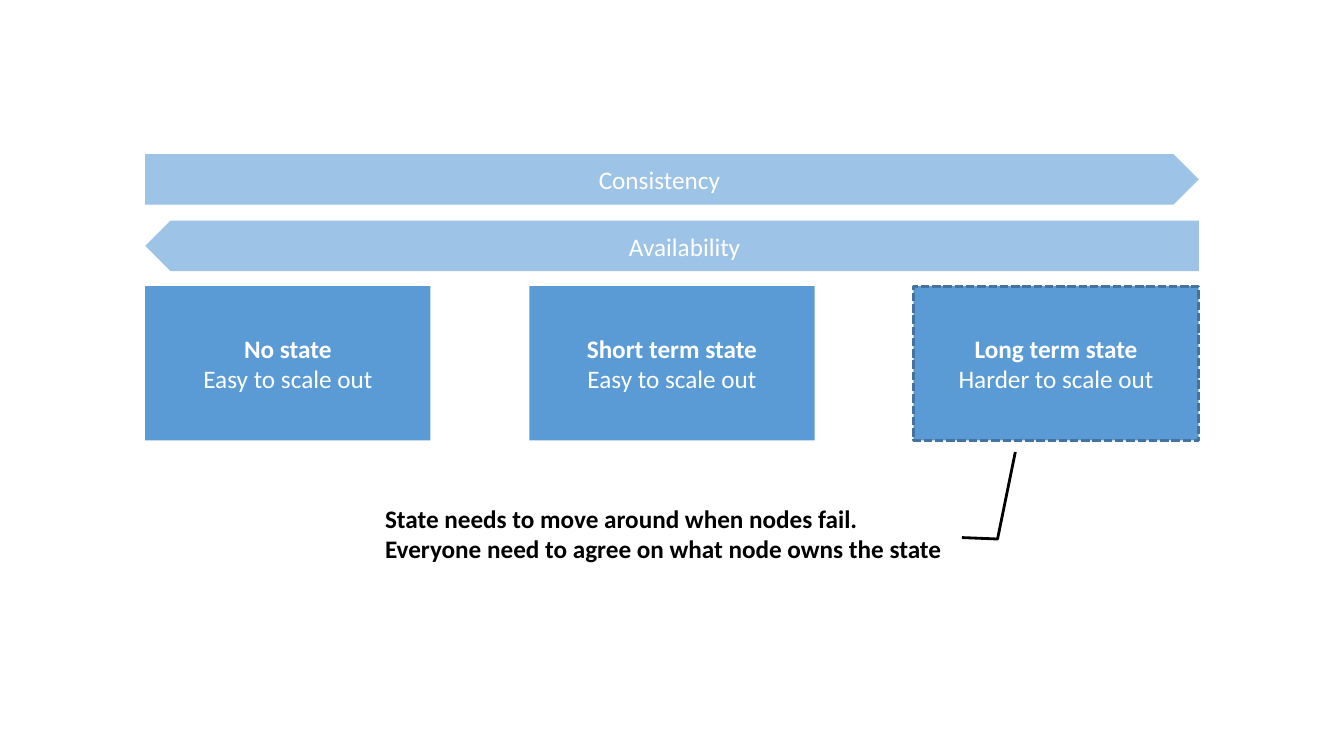
from pptx import Presentation
from pptx.dml.color import RGBColor
from pptx.enum import dml, shapes, text
from pptx.util import Inches, Pt

WHITE = RGBColor(0xFF, 0xFF, 0xFF)
BLACK = RGBColor(0, 0, 0)
BLUE = RGBColor(0x5B, 0x9B, 0xD5)
LIGHT_BLUE = RGBColor(0x9D, 0xC3, 0xE6)
DARK_BLUE = RGBColor(0x43, 0x73, 0x9E)

LEFT = 1.44
BOX_STEP = 3.81


class StateSlide:
    font_name = "Calibri"
    font_size = Pt(18)
    line_width = Pt(2)

    def __init__(self, presentation):
        self.slide = presentation.slides.add_slide(presentation.slide_layouts[6])

    def shape(self, kind, left, top, width, height, fill=None, line=None, adjustments=()):
        shape = self.slide.shapes.add_shape(
            kind, Inches(left), Inches(top), Inches(width), Inches(height))
        shape.shadow.inherit = False
        for index, value in enumerate(adjustments):
            shape.adjustments[index] = value
        if fill is None:
            shape.fill.background()
        else:
            shape.fill.solid()
            shape.fill.fore_color.rgb = fill
        if line is None:
            shape.line.fill.background()
        else:
            shape.line.color.rgb = line
            shape.line.width = self.line_width
        shape.text_frame.word_wrap = True
        shape.text_frame.vertical_anchor = text.MSO_ANCHOR.MIDDLE
        return shape

    def add_words(self, paragraph, words, color=WHITE, bold=False, align=text.PP_ALIGN.CENTER):
        paragraph.alignment = align
        run = paragraph.add_run()
        run.text = words
        run.font.name = self.font_name
        run.font.size = self.font_size
        run.font.bold = bold
        run.font.color.rgb = color

    def arrow(self, kind, top, label):
        shape = self.shape(kind, LEFT, top, 10.45, 0.5, LIGHT_BLUE, adjustments=(1, 0.5))
        self.add_words(shape.text_frame.paragraphs[0], label)

    def box(self, left, title, detail, line=None):
        shape = self.shape(shapes.MSO_SHAPE.RECTANGLE, left, 2.84, 2.83, 1.53, BLUE, line)
        if line is not None:
            shape.line.dash_style = dml.MSO_LINE.SQUARE_DOT
        frame = shape.text_frame
        self.add_words(frame.paragraphs[0], title, bold=True)
        self.add_words(frame.add_paragraph(), detail)

    def callout(self, lines):
        shape = self.shape(
            shapes.MSO_SHAPE.LINE_CALLOUT_2_NO_BORDER, 3.72, 5.05, 5.88, 0.48,
            line=BLACK, adjustments=(0.59, 0.99, 0.62, 1.05, -1.18, 1.08))
        paragraph = shape.text_frame.paragraphs[0]
        for index, words in enumerate(lines):
            if index:
                paragraph.add_line_break()
            self.add_words(paragraph, words, BLACK, True, text.PP_ALIGN.LEFT)


presentation = Presentation()
presentation.slide_width = Inches(13.33)
presentation.slide_height = Inches(7.5)
state_slide = StateSlide(presentation)

states = [
    ("No state", "Easy to scale out", None),
    ("Short term state", "Easy to scale out", None),
    ("Long term state", "Harder to scale out", DARK_BLUE),
]
for column, (title, detail, line) in enumerate(states):
    state_slide.box(LEFT + column * BOX_STEP, title, detail, line)

state_slide.callout([
    "State needs to move around when nodes fail.",
    "Everyone need to agree on what node owns the state",
])
state_slide.arrow(shapes.MSO_SHAPE.RIGHT_ARROW, 1.53, "Consistency")
state_slide.arrow(shapes.MSO_SHAPE.LEFT_ARROW, 2.19, "Availability")

presentation.save("out.pptx")
